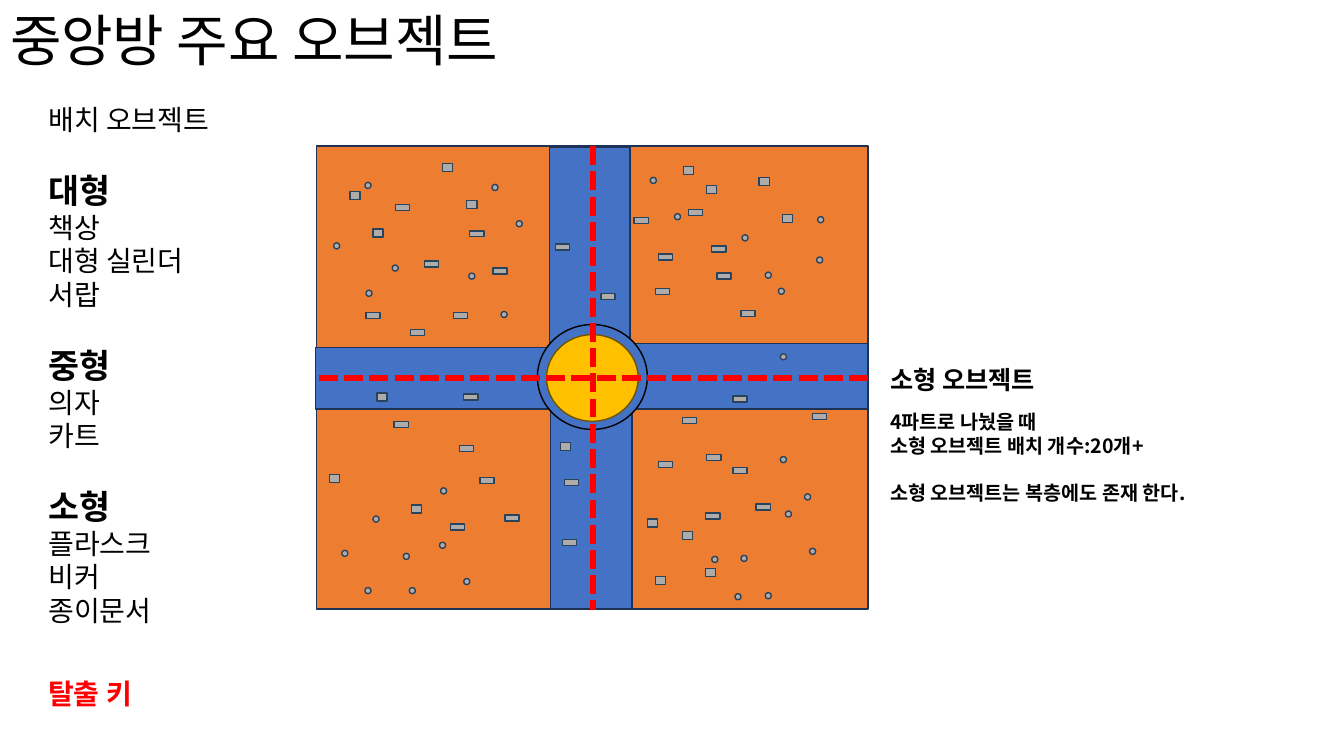
import pptx
import pptx.util
import pptx.dml.color
import pptx.enum.dml
import pptx.enum.shapes
import pptx.enum.text
import pptx.oxml.ns
from lxml import etree

PX = 9144  # 100 px to the inch
FONT = "Noto Sans CJK KR"
RGB = pptx.dml.color.RGBColor
BLACK = RGB(0x00, 0x00, 0x00)
RED = RGB(0xFF, 0x00, 0x00)
ORANGE = RGB(0xED, 0x7D, 0x31)
BLUE = RGB(0x44, 0x72, 0xC4)
GOLD = RGB(0xFF, 0xC0, 0x00)
GRAY = RGB(0xAF, 0xAB, 0xAB)
NAVY = RGB(0x1E, 0x32, 0x56)
BROWN = RGB(0x70, 0x54, 0x00)
SLATE = RGB(0x28, 0x44, 0x5D)
KIND = pptx.enum.shapes.MSO_SHAPE
RECT, OVAL = KIND.RECTANGLE, KIND.OVAL

deck = pptx.Presentation()
deck.slide_width, deck.slide_height = 1333 * PX, 750 * PX
slide = deck.slides.add_slide(deck.slide_layouts[5])
shapes = slide.shapes


def draw(kind, box, fill, edge):
    shape = shapes.add_shape(kind, *[n * PX for n in box])
    shape.shadow.inherit = False
    shape.fill.solid()
    shape.fill.fore_color.rgb = fill
    shape.line.color.rgb = edge
    shape.line.width = pptx.util.Pt(1)


def write(shape, box, rows, color):
    """Place a text shape; each row is (text, size, bold, space before)."""
    for name, n in zip(("left", "top", "width", "height"), box):
        setattr(shape, name, n * PX)
    frame = shape.text_frame
    style = {"word_wrap": False,
             "auto_size": pptx.enum.text.MSO_AUTO_SIZE.SHAPE_TO_FIT_TEXT,
             "vertical_anchor": pptx.enum.text.MSO_ANCHOR.TOP}
    for name, value in style.items():
        setattr(frame, name, value)
    for i, (text, size, bold, gap) in enumerate(rows):
        para = frame.add_paragraph() if i else frame.paragraphs[0]
        form = {"alignment": pptx.enum.text.PP_ALIGN.LEFT,
                "line_spacing": pptx.util.Pt(size * 1.2),
                "space_before": pptx.util.Pt(gap)}
        for name, value in form.items():
            setattr(para, name, value)
        run = para.add_run()
        run.text = text
        look = {"size": pptx.util.Pt(size), "bold": bold, "name": FONT}
        for name, value in look.items():
            setattr(run.font, name, value)
        run.font.color.rgb = color
        east = etree.SubElement(run._r.get_or_add_rPr(), pptx.oxml.ns.qn("a:ea"))
        east.set("typeface", FONT)


write(shapes.title, (0, 0, 565, 77), [("중앙방 주요 오브젝트", 40, False, 0)], BLACK)

# Floor, corridors and centre
for kind, box, fill, edge in [
    (RECT, (314, 145, 547, 459), ORANGE, NAVY),
    (RECT, (545, 146, 80, 200), BLUE, NAVY),
    (RECT, (546, 406, 81, 198), BLUE, NAVY),
    (RECT, (313, 345, 262, 61), BLUE, NAVY),
    (RECT, (621, 341, 240, 65), BLUE, NAVY),
    (OVAL, (533, 322, 109, 104), BLUE, BLACK),
    (OVAL, (542, 332, 91, 86), GOLD, BROWN),
]:
    draw(kind, box, fill, edge)

# Small objects: shape, size, then the left and top of each
papers = [
    (551, 242), (407, 327), (700, 509), (701, 451), (596, 291), (653, 252),
    (456, 442), (447, 520), (450, 310), (489, 266), (750, 500), (806, 410),
    (735, 308), (706, 244), (476, 474), (501, 511), (392, 203), (363, 310),
    (653, 458), (677, 414), (650, 286), (629, 216), (391, 418), (558, 535),
    (421, 259), (466, 229), (727, 464), (727, 393), (711, 271), (683, 208),
    (560, 476), (460, 391),
]
flasks = [
    (362, 181), (331, 241), (759, 270), (669, 212), (362, 583), (406, 583),
    (803, 544), (729, 589), (363, 288), (512, 219), (774, 351), (810, 255),
    (400, 549), (460, 574), (798, 490), (759, 588), (465, 271), (389, 263),
    (736, 233), (645, 176), (339, 546), (437, 484), (779, 507), (706, 552),
    (497, 309), (488, 183), (772, 286), (811, 215), (370, 512), (436, 538),
    (774, 453), (735, 551),
]
beakers = [
    (463, 199), (701, 184), (327, 471), (650, 572), (370, 227), (776, 213),
    (408, 501), (700, 564), (439, 162), (678, 165), (556, 439), (642, 515),
    (347, 190), (753, 176), (374, 390), (677, 527),
]
for kind, size, spots in [(RECT, (14, 6), papers), (OVAL, (6, 6), flasks),
                          (RECT, (10, 8), beakers)]:
    for spot in spots:
        draw(kind, spot + size, GRAY, SLATE)

# Lines that split the room into four
for ends in [(588, 145, 588, 605), (861, 375, 314, 375)]:
    line = shapes.add_connector(pptx.enum.shapes.MSO_CONNECTOR.STRAIGHT,
                                *[n * PX for n in ends])
    line.line.color.rgb = RED
    line.line.width = pptx.util.Pt(4.5)
    line.line.dash_style = pptx.enum.dml.MSO_LINE.SQUARE_DOT
    etree.SubElement(line._element.spPr, pptx.oxml.ns.qn("a:effectLst"))

items = [("배치 오브젝트", 20, False, 0)]
for head, names in [("대형", ["책상", "대형 실린더", "서랍"]),
                    ("중형", ["의자", "카트"]),
                    ("소형", ["플라스크", "비커", "종이문서"])]:
    items.append((head, 24, True, 24))
    items += [(name, 20, False, 0) for name in names]
notes = [("4파트로 나눴을 때", 14, True, 0),
         ("소형 오브젝트 배치 개수:20개+", 14, True, 0),
         ("소형 오브젝트는 복층에도 존재 한다.", 14, True, 16.8)]
for box, rows, color in [
    ((38, 97, 198, 569), items, BLACK),
    ((38, 666, 114, 44), [("탈출 키", 20, True, 0)], RED),
    ((873, 402, 347, 104), notes, BLACK),
    ((873, 357, 181, 40), [("소형 오브젝트", 18, True, 0)], BLACK),
]:
    write(shapes.add_textbox(0, 0, PX, PX), box, rows, color)

deck.save("out.pptx")
